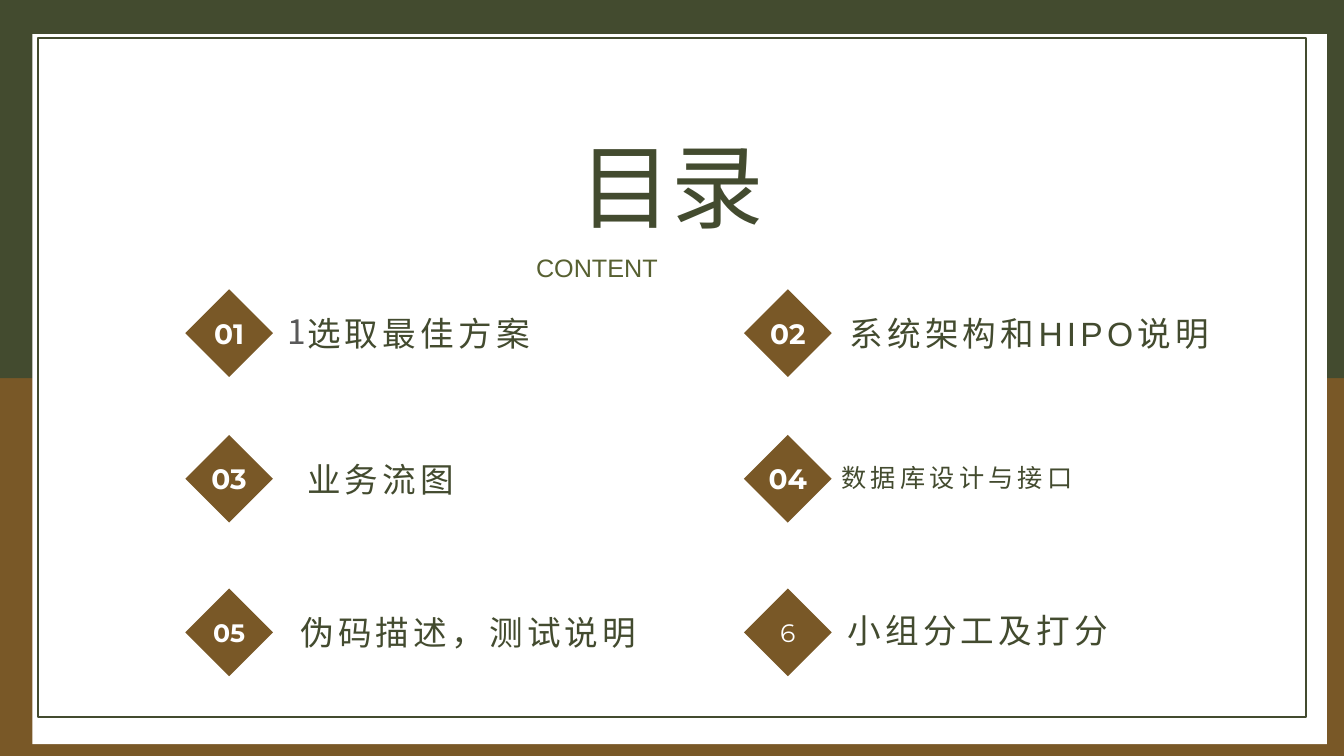
from pptx import Presentation
from pptx.dml.color import RGBColor
from pptx.enum.shapes import MSO_SHAPE as Preset
from pptx.enum.text import MSO_ANCHOR as Anchor, MSO_AUTO_SIZE as AutoSize, PP_ALIGN as Align
from pptx.oxml.ns import qn
from pptx.util import Cm, Pt

GREEN = RGBColor(0x43, 0x4B, 0x2F)
OLIVE = RGBColor(0x57, 0x60, 0x31)
BROWN = RGBColor(0x79, 0x58, 0x27)
GREY = RGBColor(0x59, 0x59, 0x59)
WHITE = RGBColor(0xFF, 0xFF, 0xFF)

CJK = "Noto Sans CJK SC"
LATIN = "Arial"
NUMBER_FONT = "Montserrat"

COLUMNS = (4.67, 18.75)
ROWS = (7.29, 10.96, 14.83)
DIAMOND = 2.21

# number, size, bold
NUMBERS = [
    ("01", 20, True), ("02", 20, True),
    ("03", 20, True), ("04", 20, True),
    ("05", 18, True), ("6", 18, False),
]
# left, top, width, size, colour, spans of (text, font)
LABELS = [
    (6.99, 7.7, 9.63, 24, GREY, [("1", CJK)]),
    (7.49, 7.77, 6.8, 24, GREEN, [("选取最佳方案", CJK)]),
    (21.16, 7.75, 12, 24, GREEN, [("系统架构和", CJK), ("HIPO", LATIN), ("说明", CJK)]),
    (7.49, 11.43, 8.81, 24, GREEN, [("业务流图", CJK)]),
    (20.96, 11.53, 12, 18, GREEN, [("数据库设计与接口", CJK)]),
    (7.32, 15.29, 9.63, 24, GREEN, [("伪码描述，测试说明", CJK)]),
    (21.11, 15.24, 7.6, 24, GREEN, [("小组分工及打分", CJK)]),
]


def set_typeface(font, name):
    """Set the Latin and the East Asian typeface alike."""
    font.name = name
    east_asian = font._element.makeelement(qn("a:ea"), {"typeface": name})
    font._element.find(qn("a:latin")).addnext(east_asian)


def format_para(para, size, colour, align=Align.LEFT, bold=False):
    para.alignment = align
    para.font.size = Pt(size)
    para.font.bold = bold
    para.font.color.rgb = colour


def clear_margins(frame):
    frame.margin_left = frame.margin_right = 0
    frame.margin_top = frame.margin_bottom = 0


def add_preset(page, preset, left, top, width, height, fill=None, line=None):
    shape = page.shapes.add_shape(preset, Cm(left), Cm(top), Cm(width), Cm(height))
    shape.shadow.inherit = False
    if fill is None:
        shape.fill.background()
    else:
        shape.fill.solid()
        shape.fill.fore_color.rgb = fill
    if line is None:
        shape.line.fill.background()
    else:
        shape.line.color.rgb = line
        shape.line.width = Pt(1.5)
    return shape


def add_number(page, left, top, number, size, bold):
    diamond = add_preset(page, Preset.DIAMOND, left, top, DIAMOND, DIAMOND, BROWN)
    frame = diamond.text_frame
    clear_margins(frame)
    frame.word_wrap = False
    frame.vertical_anchor = Anchor.MIDDLE
    para = frame.paragraphs[0]
    para.text = number
    format_para(para, size, WHITE, Align.CENTER, bold)
    set_typeface(para.font, NUMBER_FONT)


def add_label(page, left, top, width, size, colour, spans):
    box = page.shapes.add_textbox(Cm(left), Cm(top), Cm(width), Cm(1.27))
    box.text_frame.word_wrap = True
    para = box.text_frame.paragraphs[0]
    format_para(para, size, colour)
    for text, typeface in spans:
        span = para.add_run()
        span.text = text
        set_typeface(span.font, typeface)
        span.font._element.set("spc", "300")


def add_heading(page):
    title = page.shapes.title
    page.shapes.element.append(title.element)  # bring in front of the panels
    title.left, title.top, title.width, title.height = Cm(14.58), Cm(3.25), Cm(4.7), Cm(2.82)
    frame = title.text_frame
    clear_margins(frame)
    frame.word_wrap = False
    frame.auto_size = AutoSize.NONE
    frame.vertical_anchor = Anchor.TOP
    para = frame.paragraphs[0]
    para.text = "目录"
    format_para(para, 66, GREEN, Align.CENTER)
    set_typeface(para.font, CJK)

    subtitle = page.shapes.add_textbox(Cm(13.51), Cm(6.35), Cm(6.83), Cm(0.76))
    subtitle.text_frame.word_wrap = True
    clear_margins(subtitle.text_frame)
    para = subtitle.text_frame.paragraphs[0]
    para.text = "CONTENT"
    format_para(para, 18, OLIVE, Align.JUSTIFY)
    set_typeface(para.font, LATIN)


def add_frame(page):
    add_preset(page, Preset.RECTANGLE, 0, 9.53, 33.87, 9.52, BROWN)
    add_preset(page, Preset.RECTANGLE, 0, 0, 33.87, 9.53, GREEN)
    add_preset(page, Preset.RECTANGLE, 0.82, 0.86, 32.62, 17.89, WHITE)
    add_preset(page, Preset.RECTANGLE, 0.96, 0.96, 31.95, 17.12, line=GREEN)


def main():
    deck = Presentation()
    deck.slide_width, deck.slide_height = Cm(33.87), Cm(19.05)
    page = deck.slides.add_slide(deck.slide_layouts.get_by_name("Title Only"))
    add_frame(page)
    add_heading(page)
    for index, number in enumerate(NUMBERS):
        row, column = divmod(index, len(COLUMNS))
        add_number(page, COLUMNS[column], ROWS[row], *number)
    for label in LABELS:
        add_label(page, *label)
    deck.save("out.pptx")


if __name__ == "__main__":
    main()
